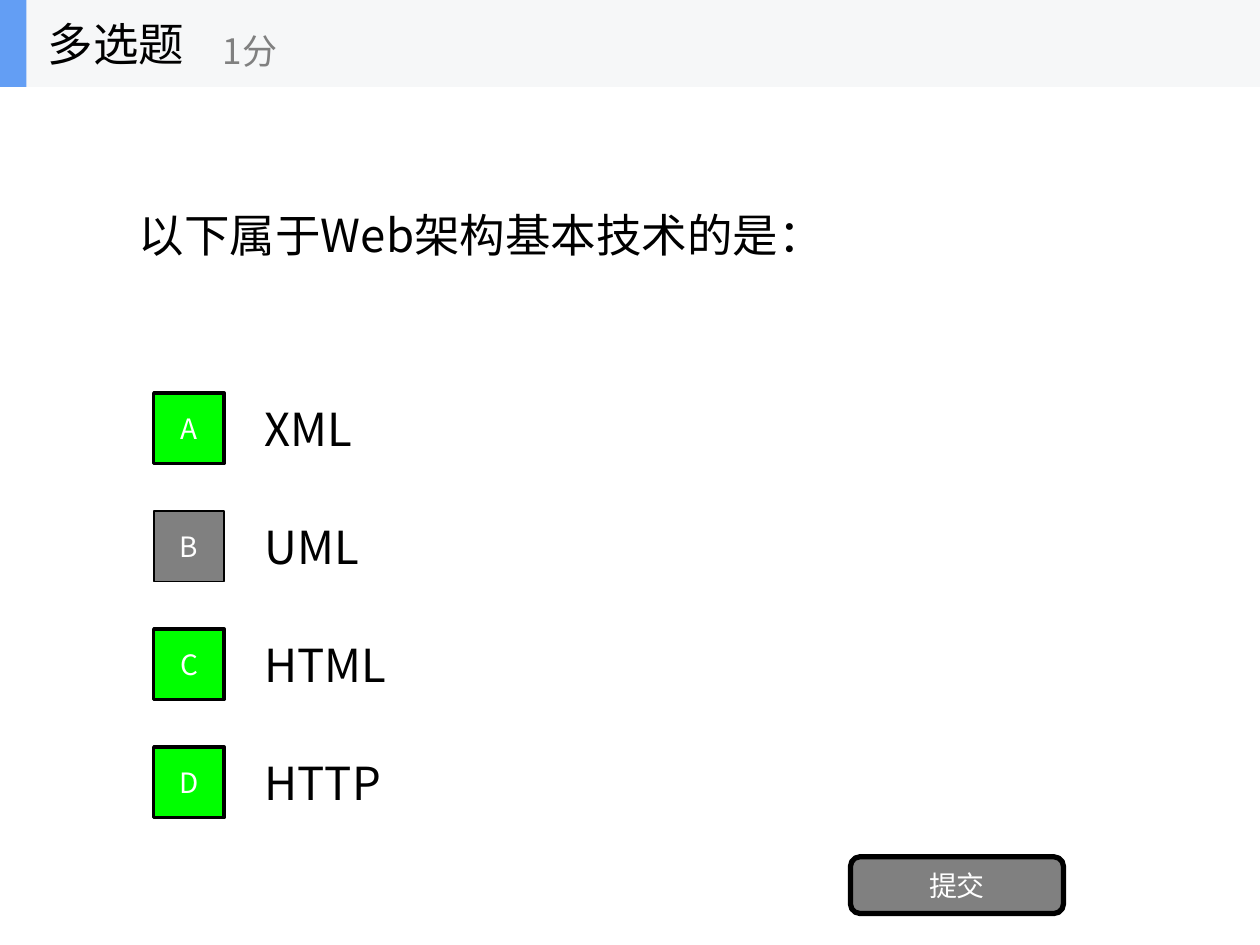
from lxml.etree import SubElement
from pptx import Presentation
from pptx.dml.color import RGBColor
from pptx.enum.shapes import MSO_SHAPE
from pptx.enum.text import MSO_ANCHOR, MSO_AUTO_SIZE, PP_ALIGN
from pptx.oxml.ns import qn
from pptx.util import Inches, Pt

FONT = "Noto Sans CJK SC"
BLACK = RGBColor(0x00, 0x00, 0x00)
WHITE = RGBColor(0xFF, 0xFF, 0xFF)
GRAY = RGBColor(0x80, 0x80, 0x80)
GREEN = RGBColor(0x00, 0xFF, 0x00)
PALE = RGBColor(0xF6, 0xF7, 0xF8)
BLUE = RGBColor(0x63, 0x9E, 0xF4)


def write(shape, text, size, color, align=PP_ALIGN.LEFT):
    frame = shape.text_frame
    layout = {
        "word_wrap": True,
        "auto_size": MSO_AUTO_SIZE.NONE,
        "vertical_anchor": MSO_ANCHOR.MIDDLE,
    }
    for key, value in layout.items():
        setattr(frame, key, value)
    para = frame.paragraphs[0]
    para.alignment = align
    run = para.add_run()
    run.text = text
    for key, value in {"name": FONT, "size": Pt(size)}.items():
        setattr(run.font, key, value)
    run.font.color.rgb = color
    SubElement(run.font._element, qn("a:ea"), typeface=FONT)


def draw(shapes, kind, box, fill, width=0):
    shape = shapes.add_shape(kind, *map(Inches, box))
    shape.shadow.inherit = False
    shape.fill.solid()
    shape.fill.fore_color.rgb = fill
    if width:
        shape.line.color.rgb = BLACK
        shape.line.width = Pt(width)
    else:
        shape.line.fill.background()
    return shape


deck = Presentation()
deck.slide_width = Inches(10)
deck.slide_height = Inches(7.5)
slide = deck.slides.add_slide(deck.slide_layouts[5])
shapes = slide.shapes

title = shapes.title
place = {"left": 1, "top": 0.69, "width": 8, "height": 2.34}
for key, value in place.items():
    setattr(title, key, Inches(value))
write(title, "以下属于Web架构基本技术的是：", 26, BLACK)

options = [
    ("A", "XML", True),
    ("B", "UML", False),
    ("C", "HTML", True),
    ("D", "HTTP", True),
]
for row, (letter, answer, right) in enumerate(options):
    top = 3.05 + row * 0.9367
    label = shapes.add_textbox(Inches(2), Inches(top), Inches(7), Inches(0.7))
    write(label, answer, 26, BLACK)
    box = (1.22, top + 0.07, 0.56, 0.56)
    fill, width = (GREEN, 2) if right else (GRAY, 1)
    mark = draw(shapes, MSO_SHAPE.RECTANGLE, box, fill, width)
    write(mark, letter, 16, WHITE, PP_ALIGN.CENTER)

button = draw(shapes, MSO_SHAPE.ROUNDED_RECTANGLE, (6.75, 6.8, 1.69, 0.45), GRAY, 3)
write(button, "提交", 16, WHITE, PP_ALIGN.CENTER)

header = shapes.add_group_shape().shapes
draw(header, MSO_SHAPE.RECTANGLE, (0, 0, 10, 0.69), PALE)
draw(header, MSO_SHAPE.RECTANGLE, (0, 0, 0.21, 0.69), BLUE)
for text, box, size, color in [
    ("多选题", (0.28, 0, 2.08, 0.69), 26, BLACK),
    ("1分", (1.67, 0.12, 2.5, 0.56), 20, GRAY),
]:
    write(header.add_textbox(*map(Inches, box)), text, size, color)

deck.save("out.pptx")
